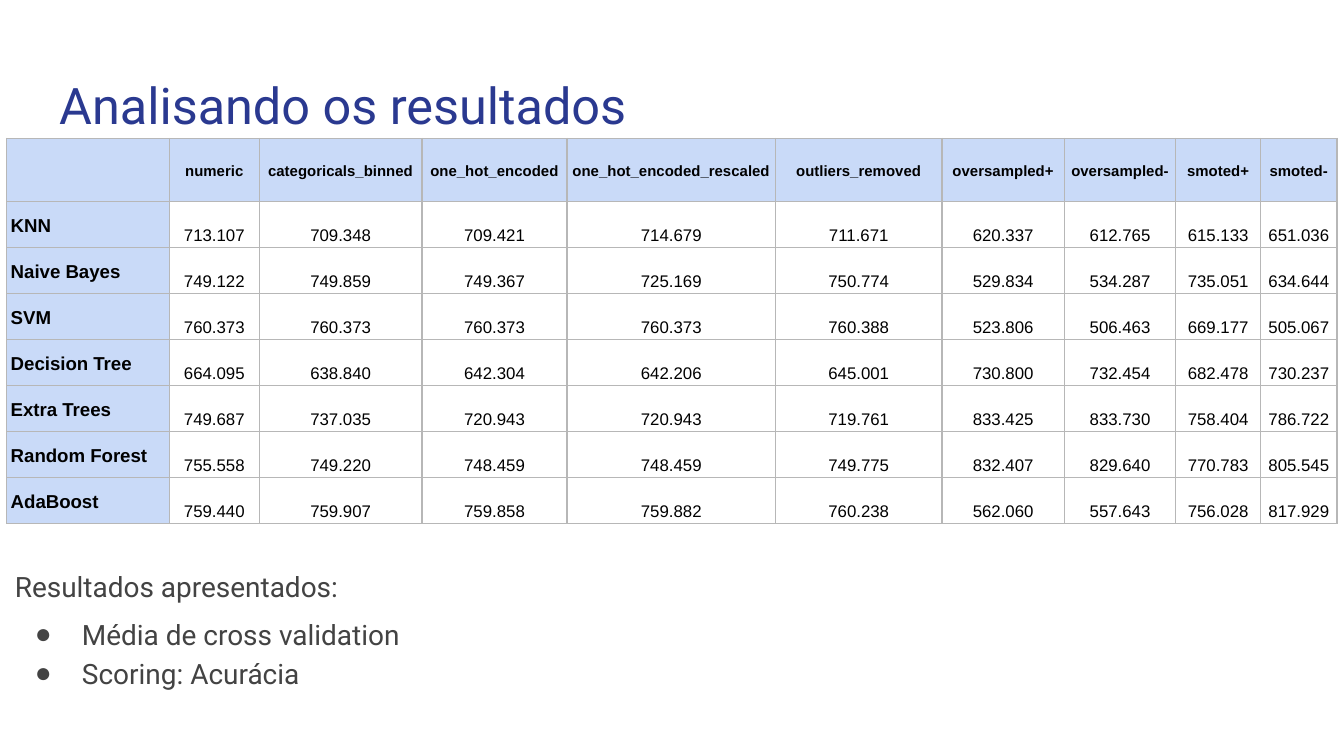
import dataclasses

import lxml.etree
import pptx
import pptx.dml.color
import pptx.enum.text
import pptx.oxml.ns
import pptx.util

Inches = pptx.util.Inches
Pt = pptx.util.Pt
Align = pptx.enum.text.PP_ALIGN
Anchor = pptx.enum.text.MSO_ANCHOR


@dataclasses.dataclass(frozen=True)
class Theme:
    heading_font: str = "Roboto"
    table_font: str = "Arial"
    bullet_font: str = "Arial"
    title_color: str = "2A3990"
    body_color: str = "434343"
    table_color: str = "000000"
    header_fill: str = "C9DAF8"
    value_fill: str = "FFFFFF"
    border_color: str = "B7B7B7"
    border_width: float = 0.75
    title_size: int = 27
    body_size: int = 15
    column_label_size: int = 8
    row_label_size: int = 10
    value_size: int = 9
    line_spacing: float = 1.15


TABLE_HEIGHT = 2.87
HEADER_HEIGHT = 0.47
COLUMN_WIDTHS = [1.21, 0.67, 1.21, 1.08, 1.55, 1.24, 0.91, 0.83, 0.63, 0.57]
RESULTS = [
    ["", "numeric", "categoricals_binned", "one_hot_encoded", "one_hot_encoded_rescaled",
     "outliers_removed", "oversampled+", "oversampled-", "smoted+", "smoted-"],
    ["KNN", "713.107", "709.348", "709.421", "714.679", "711.671",
     "620.337", "612.765", "615.133", "651.036"],
    ["Naive Bayes", "749.122", "749.859", "749.367", "725.169", "750.774",
     "529.834", "534.287", "735.051", "634.644"],
    ["SVM", "760.373", "760.373", "760.373", "760.373", "760.388",
     "523.806", "506.463", "669.177", "505.067"],
    ["Decision Tree", "664.095", "638.840", "642.304", "642.206", "645.001",
     "730.800", "732.454", "682.478", "730.237"],
    ["Extra Trees", "749.687", "737.035", "720.943", "720.943", "719.761",
     "833.425", "833.730", "758.404", "786.722"],
    ["Random Forest", "755.558", "749.220", "748.459", "748.459", "749.775",
     "832.407", "829.640", "770.783", "805.545"],
    ["AdaBoost", "759.440", "759.907", "759.858", "759.882", "760.238",
     "562.060", "557.643", "756.028", "817.929"],
]


def add_element(parent, tag, **attributes):
    return lxml.etree.SubElement(parent, pptx.oxml.ns.qn(tag), attributes)


def add_solid_fill(parent, color):
    add_element(add_element(parent, "a:solidFill"), "a:srgbClr", val=color)


class SlideBuilder:
    def __init__(self, slide, theme):
        self.slide = slide
        self.theme = theme

    def format_runs(self, paragraph, font_name, size, color, bold=False):
        for run in paragraph.runs:
            run.font.name = font_name
            run.font.size = Pt(size)
            run.font.bold = bold
            run.font.color.rgb = pptx.dml.color.RGBColor.from_string(color)

    def place(self, shape, left, top, width, height):
        shape.left, shape.top = Inches(left), Inches(top)
        shape.width, shape.height = Inches(width), Inches(height)
        frame = shape.text_frame
        frame.margin_left = frame.margin_right = Inches(0.1)
        frame.margin_top = frame.margin_bottom = Inches(0.1)
        frame.vertical_anchor = Anchor.TOP
        frame.word_wrap = True
        return frame

    def title(self, text, *box):
        frame = self.place(self.slide.shapes.title, *box)
        frame.auto_size = pptx.enum.text.MSO_AUTO_SIZE.NONE
        frame.text = text
        paragraph = frame.paragraphs[0]
        paragraph.alignment = Align.LEFT
        self.format_runs(paragraph, self.theme.heading_font,
                         self.theme.title_size, self.theme.title_color)

    def body(self, lead, items, *box):
        """Fill the body placeholder with a plain lead line and bulleted items."""
        theme = self.theme
        frame = self.place(self.slide.placeholders[1], *box)
        frame.auto_size = pptx.enum.text.MSO_AUTO_SIZE.SHAPE_TO_FIT_TEXT
        frame.text = "\n".join([lead] + items)
        for index, paragraph in enumerate(frame.paragraphs):
            paragraph.line_spacing = theme.line_spacing
            paragraph.space_before = Pt(5 if index == 1 else 0)
            paragraph.space_after = Pt(0)
            properties = paragraph._p.get_or_add_pPr()
            bulleted = index > 0
            properties.set("marL", str(Inches(0.5 if bulleted else 0)))
            properties.set("indent", str(Inches(-0.35 if bulleted else 0)))
            if bulleted:
                bullet_color = add_element(properties, "a:buClr")
                add_element(bullet_color, "a:srgbClr", val=theme.body_color)
                add_element(properties, "a:buFont", typeface=theme.bullet_font)
                add_element(properties, "a:buChar", char="●")
            else:
                add_element(properties, "a:buNone")
            self.format_runs(paragraph, theme.heading_font, theme.body_size, theme.body_color)

    def cell(self, cell, text, size, is_label, alignment):
        theme = self.theme
        properties = cell._tc.get_or_add_tcPr()
        for side in ("a:lnL", "a:lnR", "a:lnT", "a:lnB"):
            border = add_element(properties, side, w=str(Pt(theme.border_width)))
            add_solid_fill(border, theme.border_color)
        cell.fill.solid()
        fill_color = theme.header_fill if is_label else theme.value_fill
        cell.fill.fore_color.rgb = pptx.dml.color.RGBColor.from_string(fill_color)
        cell.margin_left = cell.margin_right = Inches(0.03)
        cell.margin_top = cell.margin_bottom = Inches(0.02)
        cell.vertical_anchor = Anchor.MIDDLE if is_label else Anchor.BOTTOM
        cell.text_frame.text = text
        paragraph = cell.text_frame.paragraphs[0]
        paragraph.alignment = alignment
        paragraph.line_spacing = theme.line_spacing
        self.format_runs(paragraph, theme.table_font, size, theme.table_color, bold=is_label)

    def table(self, rows, column_widths, header_height, left, top, height):
        theme = self.theme
        graphic_frame = self.slide.shapes.add_table(
            len(rows), len(column_widths), Inches(left), Inches(top),
            Inches(sum(column_widths)), Inches(height))
        table = graphic_frame.table
        table.first_row = table.horz_banding = False
        for column, width in zip(table.columns, column_widths):
            column.width = Inches(width)
        value_height = (height - header_height) / (len(rows) - 1)
        for row_index, row in enumerate(rows):
            is_header = row_index == 0
            table.rows[row_index].height = Inches(header_height if is_header else value_height)
            for column_index, text in enumerate(row):
                if is_header:
                    style = (theme.column_label_size, True, Align.CENTER)
                elif column_index == 0:
                    style = (theme.row_label_size, True, Align.LEFT)
                else:
                    style = (theme.value_size, False, Align.CENTER)
                self.cell(table.cell(row_index, column_index), text, *style)
        self.slide.placeholders[1]._element.addprevious(graphic_frame._element)


def main():
    presentation = pptx.Presentation()
    presentation.slide_width = Inches(10)
    presentation.slide_height = Inches(10 * 9 / 16)
    slide = presentation.slides.add_slide(presentation.slide_layouts[1])
    builder = SlideBuilder(slide, Theme())
    builder.title("Analisando os resultados", 0.34, 0.45, 9.32, 0.66)
    builder.table(RESULTS, COLUMN_WIDTHS, HEADER_HEIGHT, 0.05, 1.03, TABLE_HEIGHT)
    builder.body("Resultados apresentados:",
                 ["Média de cross validation", "Scoring: Acurácia"],
                 0.01, 4.1, 9.26, 1.11)
    presentation.save("out.pptx")


if __name__ == "__main__":
    main()
